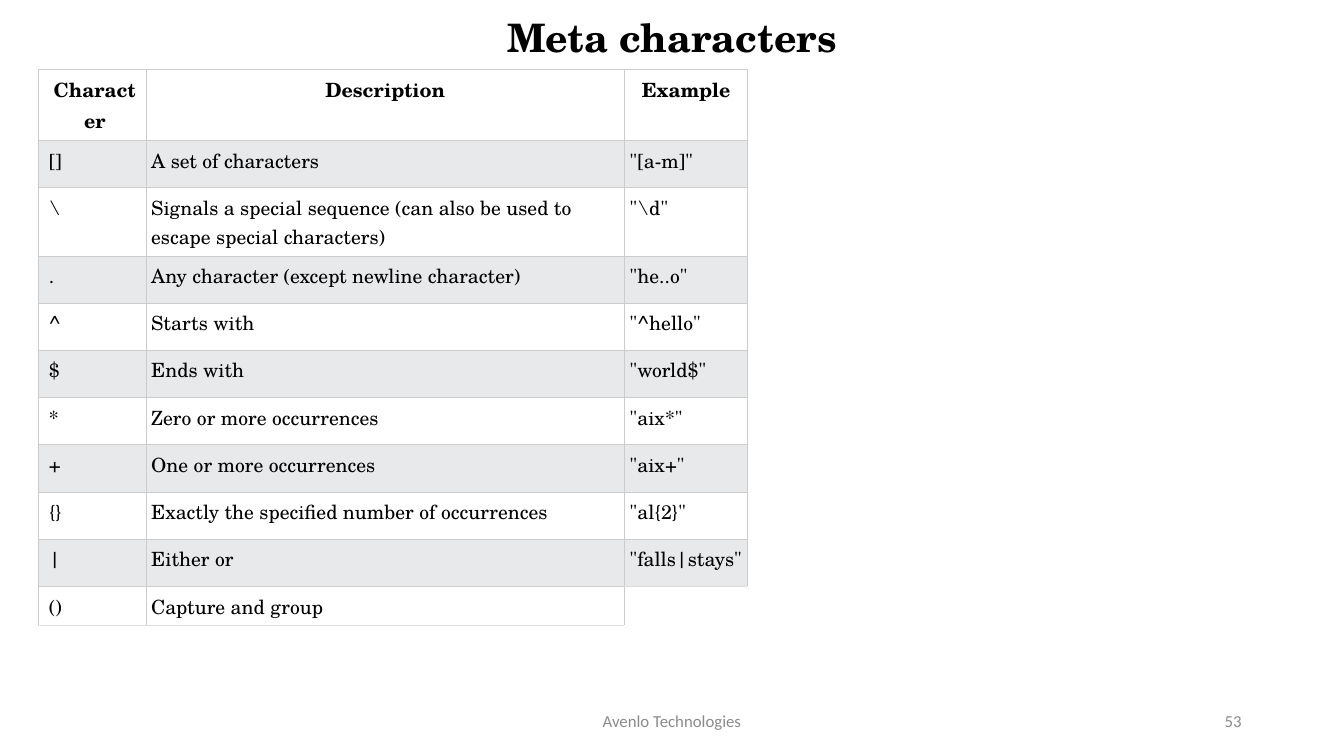
"""Builds the slide on regular expression meta characters."""
import dataclasses

import lxml.etree
import pptx
import pptx.dml.color
import pptx.enum.text
import pptx.oxml.ns
import pptx.util

Cm = pptx.util.Cm
Pt = pptx.util.Pt
ALIGN = pptx.enum.text.PP_ALIGN
ANCHOR = pptx.enum.text.MSO_ANCHOR

TITLE = "Meta characters"
HEADINGS = ("Character", "Description", "Example")
META_CHARACTERS = [
    ("[]", "A set of characters", '"[a-m]"'),
    ("\\", "Signals a special sequence (can also be used to escape special characters)", r'"\d"'),
    (".", "Any character (except newline character)", '"he..o"'),
    ("^", "Starts with", '"^hello"'),
    ("$", "Ends with", '"world$"'),
    ("*", "Zero or more occurrences", '"aix*"'),
    ("+", "One or more occurrences", '"aix+"'),
    ("{}", "Exactly the specified number of occurrences", '"al{2}"'),
    ("|", "Either or", '"falls|stays"'),
    ("()", "Capture and group", ""),
]
FOOTERS = [
    ("Avenlo Technologies", 11.22, 11.43, ALIGN.CENTER),
    ("53", 23.92, 7.62, ALIGN.RIGHT),
]
COLUMN_WIDTHS = (2.7, 12.06, 3.1)
HEADER_HEIGHT, ROW_HEIGHT, LAST_HEIGHT = 1.24, 1.19, 0.76
PAGE_WIDTH, PAGE_HEIGHT = 33.87, 19.05
TITLE_TOP = 0.33


@dataclasses.dataclass(frozen=True)
class Theme:
    """Colours, fonts and type sizes."""
    serif: str = "TeX Gyre Schola"
    sans: str = "Calibri"
    ink: str = "000000"
    muted: str = "8B8B8B"
    plain: str = "FFFFFF"
    band: str = "E7E9EB"
    grid: str = "CCCCCC"
    edge: str = "DDDDDD"
    title_size: int = 28
    table_size: int = 14
    footer_size: int = 12
    rule: float = 0.75


THEME = Theme()


def write(frame, text, *, size, font=THEME.serif, color=THEME.ink, bold=False, align=ALIGN.LEFT):
    """Put one formatted paragraph into a text frame."""
    frame.word_wrap = True
    para = frame.paragraphs[0]
    para.alignment = align
    span = para.add_run()
    span.text = text
    span.font.name = font
    span.font.size = Pt(size)
    span.font.bold = bold
    span.font.color.rgb = pptx.dml.color.RGBColor.from_string(color)
    return para


def draw_borders(cell, borders):
    """Add side lines to a table cell from a dict of side to colour."""
    properties = cell._tc.get_or_add_tcPr()
    qualify = pptx.oxml.ns.qn
    for side, color in borders.items():
        line = lxml.etree.SubElement(properties, qualify(f"a:ln{side}"), w=str(Pt(THEME.rule)))
        fill = lxml.etree.SubElement(line, qualify("a:solidFill"))
        lxml.etree.SubElement(fill, qualify("a:srgbClr"), val=color)


def add_title(page):
    """Place the slide title at the top of the page."""
    box = page.shapes.title
    box.left, box.top = Cm(0), Cm(TITLE_TOP)
    box.width, box.height = Cm(PAGE_WIDTH), Cm(PAGE_HEIGHT - TITLE_TOP)
    frame = box.text_frame
    frame.auto_size = pptx.enum.text.MSO_AUTO_SIZE.NONE
    frame.vertical_anchor = ANCHOR.TOP
    para = write(frame, TITLE, size=THEME.title_size, bold=True, align=ALIGN.CENTER)
    para.line_spacing = 0.9
    para.space_before = Pt(10)


def add_table(page):
    """Draw the banded table of meta characters."""
    rows = [HEADINGS, *META_CHARACTERS]
    last = len(rows) - 1
    heights = [HEADER_HEIGHT] + [ROW_HEIGHT] * (last - 1) + [LAST_HEIGHT]
    heights[2] = HEADER_HEIGHT
    table = page.shapes.add_table(
        len(rows), len(HEADINGS), Cm(0.98), Cm(1.75),
        Cm(sum(COLUMN_WIDTHS)), Cm(sum(heights))).table
    table.first_row = table.horz_banding = False
    for column, width in zip(table.columns, COLUMN_WIDTHS):
        column.width = Cm(width)
    for index, values in enumerate(rows):
        table.rows[index].height = Cm(heights[index])
        for place, text in enumerate(values):
            cell = table.cell(index, place)
            cell.margin_left = Cm(0.25 if place == 0 else 0.13)
            cell.margin_right = cell.margin_top = cell.margin_bottom = Cm(0.13)
            heading = index == 0
            write(cell.text_frame, text, size=THEME.table_size, bold=heading,
                  align=ALIGN.CENTER if heading else ALIGN.LEFT)
            if not text:
                draw_borders(cell, {"L": THEME.grid, "T": THEME.edge})
                cell.fill.background()
                continue
            outer = index == last or not rows[index + 1][place]
            draw_borders(cell, {"L": THEME.grid, "R": THEME.grid, "T": THEME.grid,
                                "B": THEME.edge if outer else THEME.grid})
            cell.fill.solid()
            cell.fill.fore_color.rgb = pptx.dml.color.RGBColor.from_string(
                THEME.band if index % 2 else THEME.plain)


def add_footers(page):
    """Write the footer name and the page number."""
    for text, left, width, align in FOOTERS:
        box = page.shapes.add_textbox(Cm(left), Cm(17.66), Cm(width), Cm(1.01))
        box.text_frame.vertical_anchor = ANCHOR.MIDDLE
        write(box.text_frame, text, size=THEME.footer_size, font=THEME.sans,
              color=THEME.muted, align=align)


def main():
    """Build and save the deck."""
    deck = pptx.Presentation()
    deck.slide_width, deck.slide_height = Cm(PAGE_WIDTH), Cm(PAGE_HEIGHT)
    page = deck.slides.add_slide(deck.slide_layouts[5])
    add_title(page)
    add_table(page)
    add_footers(page)
    deck.save("out.pptx")


if __name__ == "__main__":
    main()
